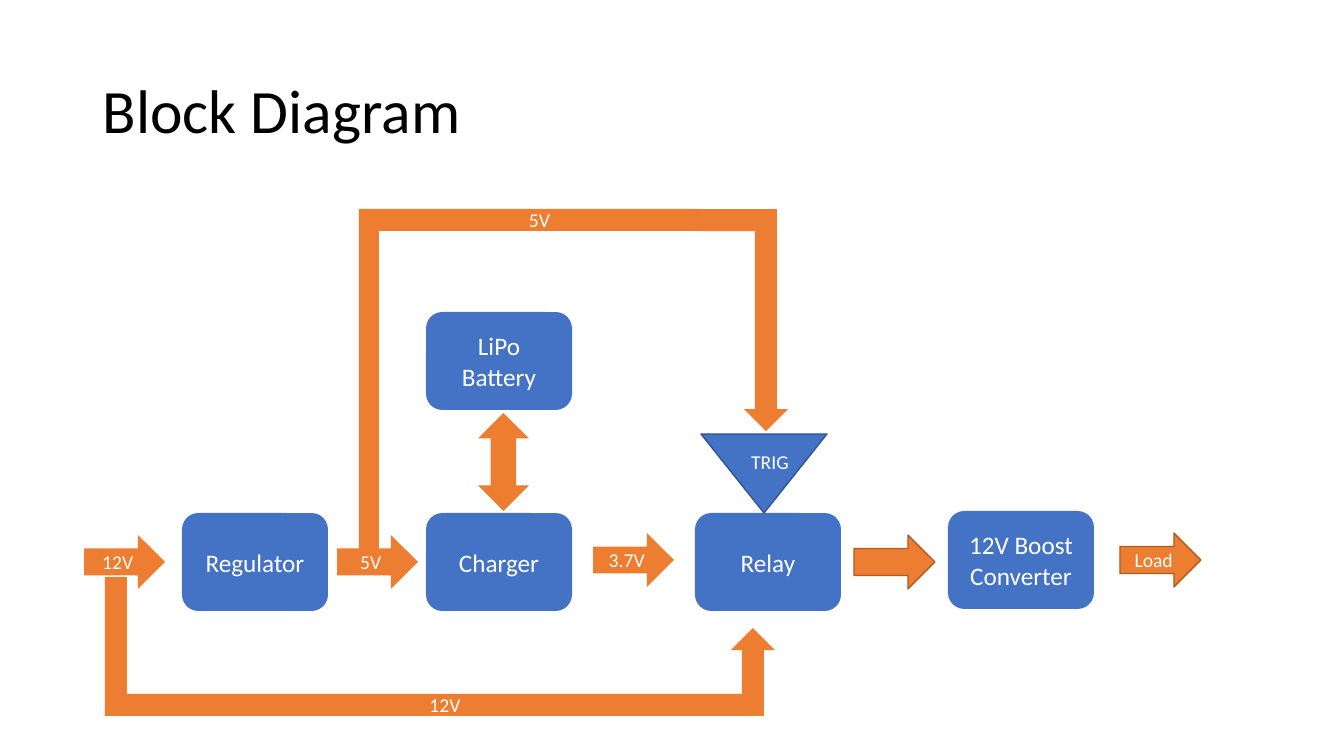
from pptx import Presentation
from pptx.dml.color import RGBColor
from pptx.enum.shapes import MSO_SHAPE
from pptx.enum.text import MSO_ANCHOR, PP_ALIGN
from pptx.util import Pt

PX = 914400 / 100.8
BLUE, ORANGE = "4472C4", "ED7D31"
BLUE_EDGE, ORANGE_EDGE = "325491", "AF5C24"
WHITE, BLACK = "FFFFFF", "000000"


def emu(*pixels):
    return [round(p * PX) for p in pixels]


def color(hex_code):
    return RGBColor.from_string(hex_code)


def write(holder, words, size, ink=WHITE, align=PP_ALIGN.CENTER, inset=0, wrap=False):
    frame = holder.text_frame
    frame.word_wrap = wrap
    frame.vertical_anchor = MSO_ANCHOR.MIDDLE
    frame.margin_left = frame.margin_right = emu(inset)[0]
    frame.margin_top = frame.margin_bottom = 0
    line = frame.paragraphs[0]
    line.alignment = align
    for i, part in enumerate(words.split("\n")):
        if i:
            line.add_line_break()
        run = line.add_run()
        run.text = part
        run.font.name, run.font.size = "Calibri", Pt(size)
        run.font.color.rgb = color(ink)
    return line


def block(slide, kind, box, fill, words="", size=14, edge=None):
    part = slide.shapes.add_shape(kind, *emu(*box))
    part.shadow.inherit = False
    part.fill.solid()
    part.fill.fore_color.rgb = color(fill)
    if edge:
        part.line.color.rgb = color(edge)
        part.line.width = Pt(1)
    else:
        part.line.fill.background()
    if words:
        write(part, words, size)
    return part


def title(slide, left, top, width, height):
    heading = slide.shapes.add_textbox(*emu(left, top, width, height))
    line = write(heading, "Block Diagram", 44, BLACK, PP_ALIGN.LEFT, 10, True)
    line.line_spacing = 0.9


def power_chain(slide, left, top):
    # Stages, as offsets from the corner of the chain
    for x, y, name in [(98, 201, "Regulator"), (342, 201, "Charger"),
                       (342, 0, "LiPo\nBattery"), (611, 201, "Relay"),
                       (864, 199, "12V Boost\nConverter")]:
        block(slide, MSO_SHAPE.ROUNDED_RECTANGLE, (left + x, top + y, 146, 98), BLUE, name, 18)
    # Arrows between stages
    for x, y, label, edge in [(0, 223, "12V", None), (253, 223, "5V", None),
                              (509, 221, "3.7V", None), (770, 223, "", ORANGE_EDGE),
                              (1036, 221, "Load", ORANGE_EDGE)]:
        block(slide, MSO_SHAPE.RIGHT_ARROW, (left + x, top + y, 81, 54), ORANGE, label, edge=edge)
    # Charging both ways between battery and charger
    block(slide, MSO_SHAPE.UP_DOWN_ARROW, (left + 394, top + 101, 51, 98), ORANGE)


def supply_path(slide, left, top, width, height):
    block(slide, MSO_SHAPE.BENT_UP_ARROW, (left + 21, top + 51, width - 21, height - 51),
          ORANGE, "12V")
    block(slide, MSO_SHAPE.RECTANGLE, (left, top, 22, height), ORANGE)


def trigger_path(slide, left, top, width, height):
    # Riser, crossbar and the arrow down to the relay
    block(slide, MSO_SHAPE.RECTANGLE, (left, top, 20, height), ORANGE)
    block(slide, MSO_SHAPE.RECTANGLE, (left + 20, top, 321, 22), ORANGE, "5V")
    drop = block(slide, MSO_SHAPE.BENT_UP_ARROW, (left + 341, top, width - 341, 222), ORANGE)
    drop.rotation = 180
    drop.element.spPr.xfrm.set("flipH", "1")
    # Trigger input
    trigger = block(slide, MSO_SHAPE.ISOSCELES_TRIANGLE, (left + 342, top + 225, 126, 79),
                    BLUE, edge=BLUE_EDGE)
    trigger.rotation = 180
    label = slide.shapes.add_textbox(*emu(left + 382, top + 236, 58, 34))
    write(label, "TRIG", 14)


deck = Presentation()
deck.slide_width, deck.slide_height = emu(1344, 756)
diagram = deck.slides.add_slide(deck.slide_layouts[6])
title(diagram, 93, 40, 1159, 147)
power_chain(diagram, 84, 312)
supply_path(diagram, 105, 577, 670, 139)
trigger_path(diagram, 359, 209, 429, 340)
deck.save("out.pptx")
